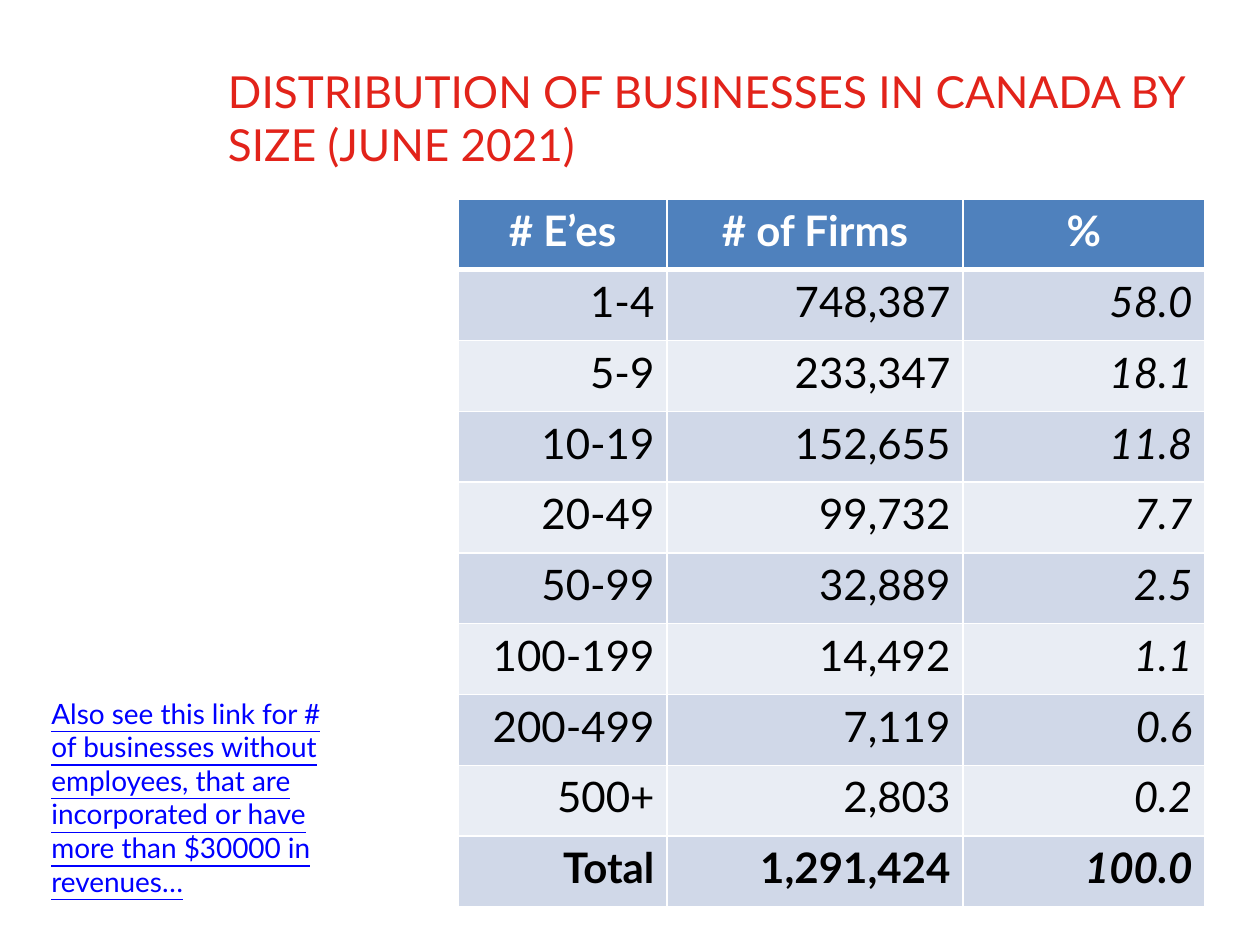
from lxml.etree import SubElement
from pptx import Presentation
from pptx.dml.color import RGBColor
from pptx.enum.text import MSO_ANCHOR, MSO_AUTO_SIZE, PP_ALIGN
from pptx.oxml.ns import qn
from pptx.util import Emu, Pt

FONT = "Lato"
HEADER = ("# E’es", "# of Firms", "%")
FIRMS = [
    ("1-4", "748,387", "58.0"),
    ("5-9", "233,347", "18.1"),
    ("10-19", "152,655", "11.8"),
    ("20-49", "99,732", "7.7"),
    ("50-99", "32,889", "2.5"),
    ("100-199", "14,492", "1.1"),
    ("200-499", "7,119", "0.6"),
    ("500+", "2,803", "0.2"),
    ("Total", "1,291,424", "100.0"),
]
COLUMN_WIDTHS = (209, 296, 242)


def px(n):
    return Emu(round(n * 914400 / 126))


def rgb(color):
    return RGBColor.from_string(color)


def add_run(p, text, size, color, bold=False, italic=False, underline=False):
    r = p.add_run()
    r.text = text
    f = r.font
    f.name, f.size = FONT, Pt(size)
    f.bold, f.italic, f.underline = bold, italic, underline
    f.color.rgb = rgb(color)


def set_title(slide, text):
    sp = slide.shapes.title
    sp.left, sp.top, sp.width, sp.height = px(228), px(60), px(997), px(110)
    tf = sp.text_frame
    tf.auto_size = MSO_AUTO_SIZE.NONE
    tf.word_wrap = True
    tf.vertical_anchor = MSO_ANCHOR.BOTTOM
    tf.margin_left = tf.margin_top = tf.margin_right = tf.margin_bottom = 0
    p = tf.paragraphs[0]
    p.alignment = PP_ALIGN.LEFT
    add_run(p, text, 25.2, "E2231A")


def set_borders(cell, top, bottom):
    """Draw white cell borders; top and bottom widths are in points."""
    tc_pr = cell._tc.get_or_add_tcPr()
    for side, width in (("L", 1), ("R", 1), ("T", top), ("B", bottom)):
        ln = SubElement(tc_pr, qn(f"a:ln{side}"), w=str(Pt(width)))
        fill = SubElement(ln, qn("a:solidFill"))
        SubElement(fill, qn("a:srgbClr"), val="FFFFFF")


def fill_cell(cell, text, row, col):
    is_header = row == 0
    is_total = row == len(FIRMS)
    is_percent = col == 2 and not is_header
    set_borders(cell, 3 if row == 1 else 1, 3 if is_header else 1)
    band = "D0D8E8" if row % 2 else "E9EDF4"
    cell.fill.solid()
    cell.fill.fore_color.rgb = rgb("4F81BD" if is_header else band)
    p = cell.text_frame.paragraphs[0]
    p.alignment = PP_ALIGN.CENTER if is_header else PP_ALIGN.RIGHT
    if is_percent:
        p.level = 1
    add_run(p, text, 24, "FFFFFF" if is_header else "000000",
            bold=is_header or is_total, italic=is_percent)


def add_firm_table(slide):
    rows = [HEADER] + FIRMS
    table = slide.shapes.add_table(len(rows), len(HEADER), px(458), px(199),
                                   px(sum(COLUMN_WIDTHS)), px(708)).table
    for column, width in zip(table.columns, COLUMN_WIDTHS):
        column.width = px(width)
    for i, row in enumerate(rows):
        for j, text in enumerate(row):
            fill_cell(table.cell(i, j), text, i, j)


def add_note(slide, text):
    tf = slide.shapes.add_textbox(px(39), px(690), px(306), px(217)).text_frame
    tf.word_wrap = True
    tf.auto_size = MSO_AUTO_SIZE.SHAPE_TO_FIT_TEXT
    add_run(tf.paragraphs[0], text, 16, "0000FF", underline=True)


def main():
    prs = Presentation()
    prs.slide_width, prs.slide_height = px(1260), px(945)
    slide = prs.slides.add_slide(prs.slide_layouts[5])
    set_title(slide, "DISTRIBUTION OF BUSINESSES IN CANADA BY SIZE (JUNE 2021)")
    add_firm_table(slide)
    add_note(slide, "Also see this link for # of businesses without employees, "
                    "that are incorporated or have more than $30000 in revenues…")
    prs.save("out.pptx")


if __name__ == "__main__":
    main()
